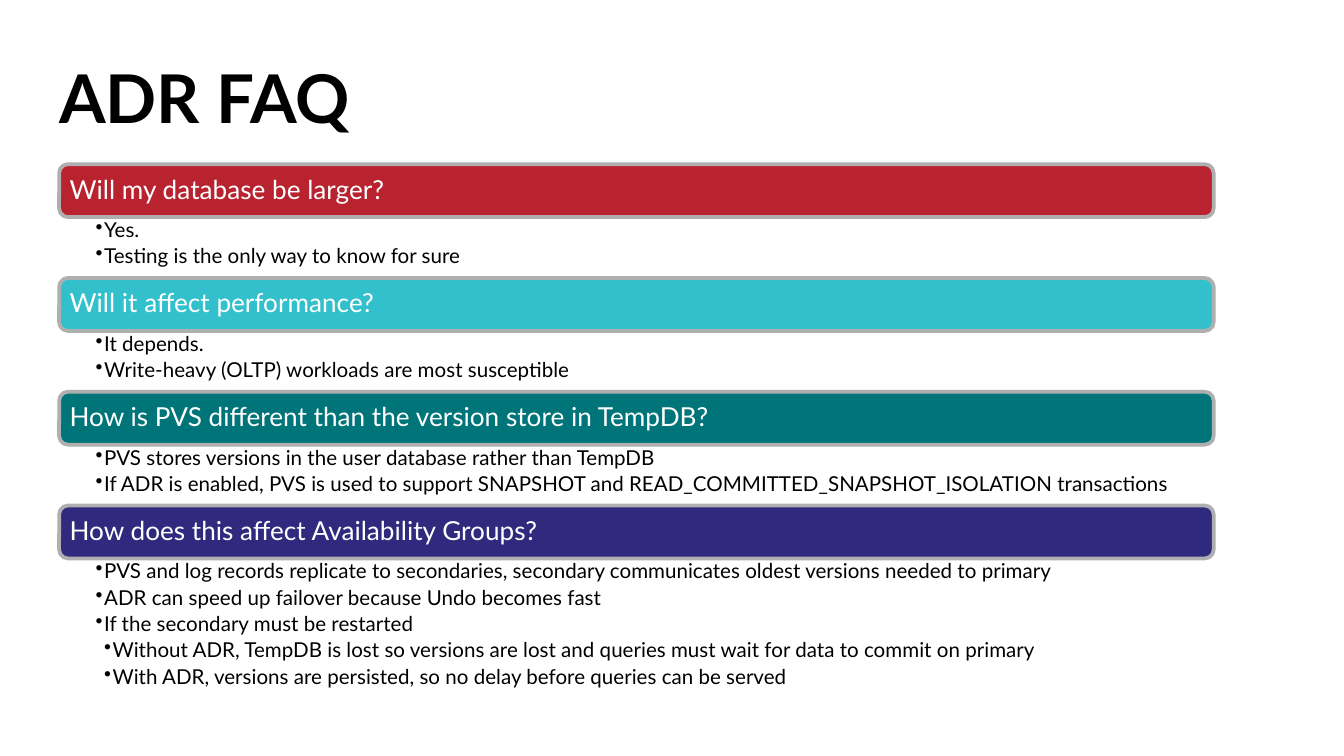
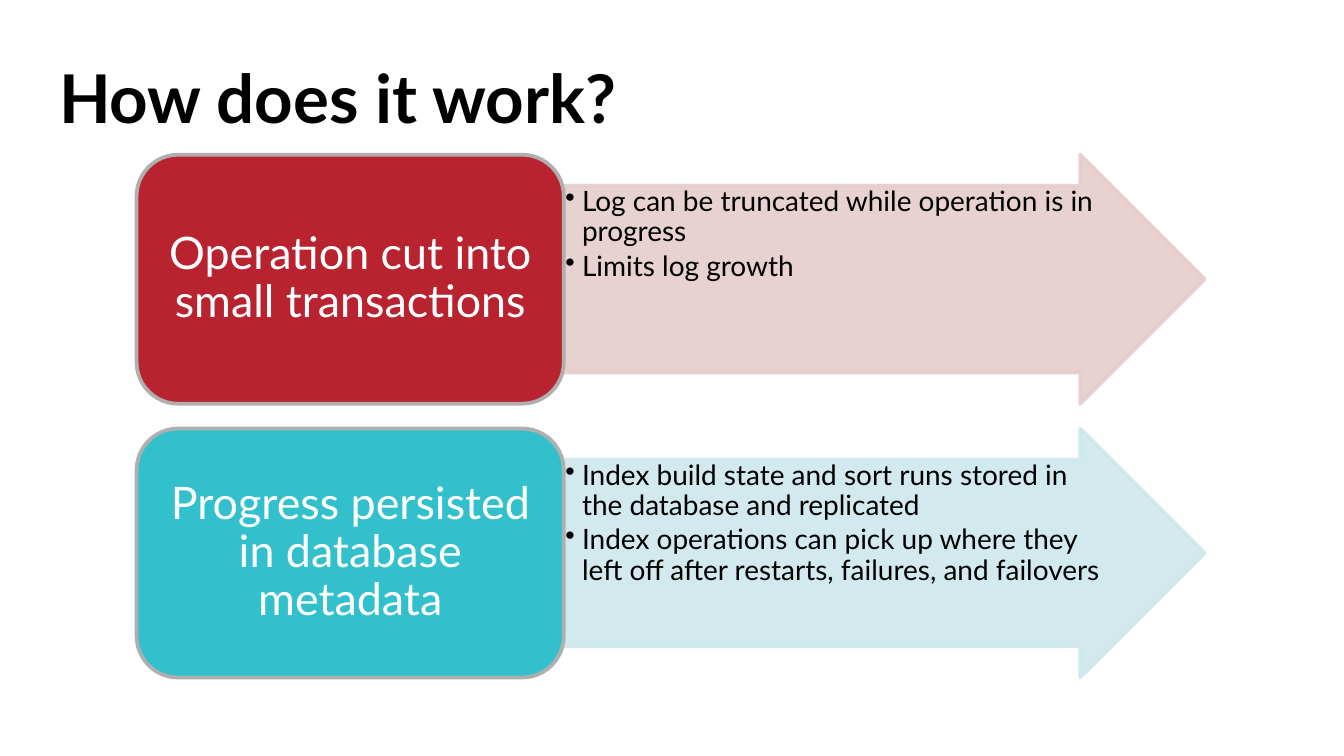
from pptx import Presentation
from pptx.dml.color import RGBColor
from pptx.enum import shapes, text
from pptx.oxml.ns import qn
from pptx.util import Pt
from lxml import etree

FONT = "Lato"
HEX = {"ink": "000000", "white": "FFFFFF", "edge": "AFAFAF",
       "red": "B8232F", "cyan": "33C0CD", "teal": "007579", "navy": "302A7E",
       "rose": "E6CDCD", "ice": "CEE8ED"}
KIND = shapes.MSO_SHAPE
ALIGN = text.PP_ALIGN
ANCHOR = text.MSO_ANCHOR

# Question, colour, answer height, answers as (level, text)
FAQ = [
    ("Will my database be larger?", "red", 32.6,
     [(1, "Yes."), (1, "Testing is the only way to know for sure")]),
    ("Will it affect performance?", "cyan", 32.6,
     [(1, "It depends."),
      (1, "Write-heavy (OLTP) workloads are most susceptible")]),
    ("How is PVS different than the version store in TempDB?", "teal", 32.6,
     [(1, "PVS stores versions in the user database rather than TempDB"),
      (1, "If ADR is enabled, PVS is used to support SNAPSHOT and "
          "READ_COMMITTED_SNAPSHOT_ISOLATION transactions")]),
    ("How does this affect Availability Groups?", "navy", 82,
     [(1, "PVS and log records replicate to secondaries, secondary "
          "communicates oldest versions needed to primary"),
      (1, "ADR can speed up failover because Undo becomes fast"),
      (1, "If the secondary must be restarted"),
      (2, "Without ADR, TempDB is lost so versions are lost and queries "
          "must wait for data to commit on primary"),
      (2, "With ADR, versions are persisted, so no delay before queries "
          "can be served")]),
]

# Step, card colour, arrow colour, details
STEPS = [
    ("Operation cut into small transactions", "red", "rose",
     [(1, "Log can be truncated while operation is in progress"),
      (1, "Limits log growth")]),
    ("Progress persisted in database metadata", "cyan", "ice",
     [(1, "Index build state and sort runs stored in the database and "
          "replicated"),
      (1, "Index operations can pick up where they left off after restarts, "
          "failures, and failovers")]),
]


def rgb(name):
    return RGBColor.from_string(HEX[name])


def add_run(para, words, size, color, bold=False):
    run = para.add_run()
    run.text = words
    font = run.font
    font.name, font.size, font.bold = FONT, Pt(size), bold
    font.color.rgb = rgb(color)


def add_panel(slide, kind, box, fill, edge, alpha=None):
    """Filled shape with a 2 pt edge; alpha is a percentage."""
    panel = slide.shapes.add_shape(kind, *map(Pt, box))
    panel.shadow.inherit = False
    panel.fill.solid()
    panel.fill.fore_color.rgb = rgb(fill)
    panel.line.color.rgb = rgb(edge)
    panel.line.width = Pt(2)
    if alpha:
        props = panel.fill._xPr
        for tint in props.iter(qn("a:srgbClr")):
            etree.SubElement(tint, qn("a:alpha")).set("val", str(alpha * 1000))
    return panel


def add_box(slide, box, pads, anchor=ANCHOR.TOP):
    frame = slide.shapes.add_textbox(*map(Pt, box)).text_frame
    frame.word_wrap = True
    frame.vertical_anchor = anchor
    (frame.margin_left, frame.margin_top,
     frame.margin_right, frame.margin_bottom) = map(Pt, pads)
    return frame


def add_label(slide, box, inset, pads, words, size, align):
    """White caption set inside a panel."""
    x, y, w, h = box
    inner = (x + inset, y + inset, w - 2 * inset, h - 2 * inset)
    para = add_box(slide, inner, pads, ANCHOR.MIDDLE).paragraphs[0]
    para.alignment = align
    para.line_spacing = 0.9
    para.space_after = Pt(size * 0.35)
    add_run(para, words, size, "white")


def add_list(slide, box, pads, items, size, step, gap):
    """Bulleted list; step is the indent of one level."""
    frame = add_box(slide, box, pads)
    for i, (level, words) in enumerate(items):
        para = frame.add_paragraph() if i else frame.paragraphs[0]
        para.level = level
        para.line_spacing = 0.9
        para.space_after = Pt(size * gap)
        props = para._p.get_or_add_pPr()
        props.set("marL", str(Pt(step * level)))
        props.set("indent", str(-Pt(step)))
        etree.SubElement(props, qn("a:buChar")).set("char", "•")
        add_run(para, words, size, "ink")


def add_slide(deck, words):
    """Title-only slide with the shared title style."""
    slide = deck.slides.add_slide(deck.slide_layouts[5])
    title = slide.shapes.title
    title.left, title.top, title.width, title.height = map(
        Pt, (24.5, 34.5, 664, 48.2))
    frame = title.text_frame
    frame.word_wrap = True
    frame.auto_size = text.MSO_AUTO_SIZE.NONE
    frame.vertical_anchor = ANCHOR.TOP
    para = frame.paragraphs[0]
    para.alignment = ALIGN.LEFT
    para.line_spacing = Pt(35)
    add_run(para, words, 36, "ink", True)
    return slide


def add_faq(slide, x, y, w, bar=28.35):
    """Stack of question bars, each followed by its answers."""
    for ask, color, high, items in FAQ:
        box = (x, y, w, bar)
        add_panel(slide, KIND.ROUNDED_RECTANGLE, box, color, "edge")
        add_label(slide, box, 1.4, (4.2,) * 4, ask, 14, ALIGN.LEFT)
        add_list(slide, (x, y + bar, w, high), (19.6, 1.4, 7.8, 1.4),
                 items, 11, 4.5, 0.2)
        y += bar + high


def add_step(slide, box, step):
    """Card on the left, arrow with details on the right."""
    x, y, w, h = box
    words, color, pale, items = step
    card = w * 0.4
    left, span = x + card, w - card
    add_panel(slide, KIND.RIGHT_ARROW, (left, y, span, h), pale, pale,
              90).adjustments[0] = 0.75
    add_list(slide, (left, y + h / 8, span - h * 3 / 8, h * 3 / 4),
             (0.75,) * 4, items, 15, 9, 0.15)
    front = (x, y, card, h)
    add_panel(slide, KIND.ROUNDED_RECTANGLE, front, color, "edge")
    add_label(slide, front, 6.5, (7.2, 3.6, 7.2, 3.6), words, 24,
              ALIGN.CENTER)


def main():
    deck = Presentation()
    deck.slide_width, deck.slide_height = Pt(720), Pt(405)

    add_faq(add_slide(deck, "ADR FAQ"), 31.7, 88, 618.5)

    work = add_slide(deck, "How does it work?")
    for i, step in enumerate(STEPS):
        add_step(work, (73.2, 82.9 + i * 146.7, 572.2, 133.4), step)

    deck.save("out.pptx")


if __name__ == "__main__":
    main()
